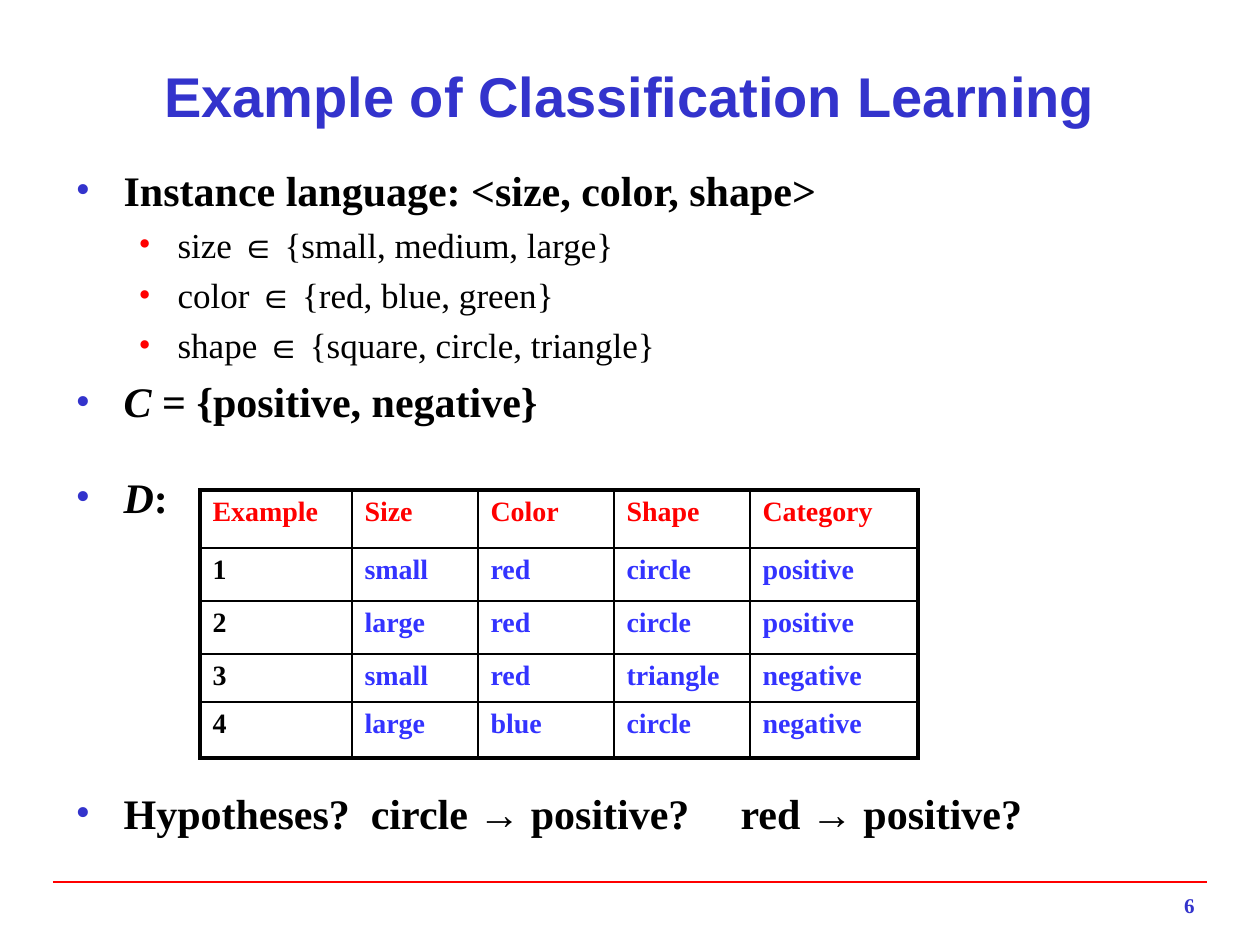
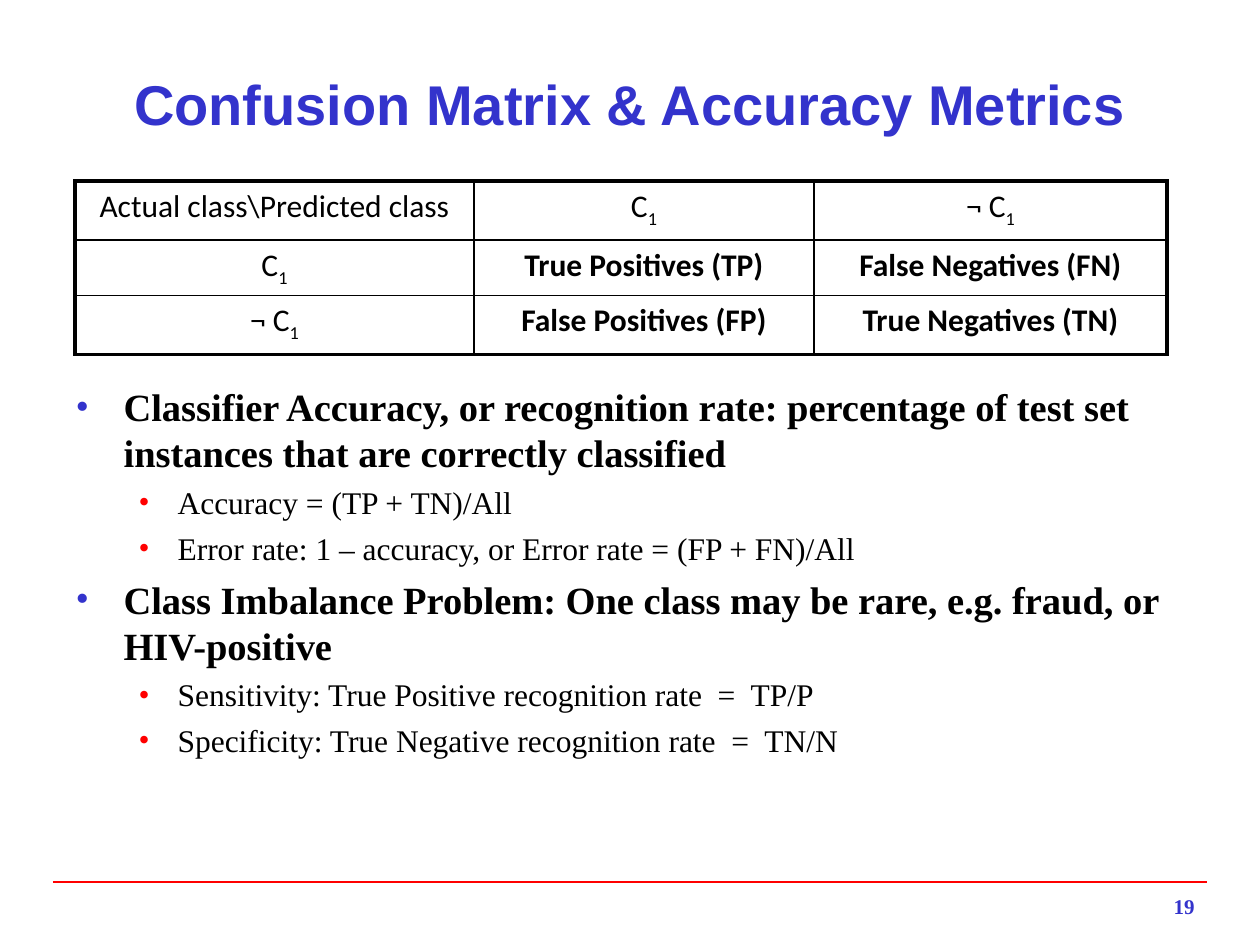
import pptx
import pptx.dml.color
import pptx.enum.shapes
import pptx.enum.text
import pptx.oxml
import pptx.oxml.ns
import pptx.util
from lxml import etree

PX = 914400 / 126
COLORS = {
    "title": "3333CC",
    "accent": "FF0000",
    "text": "000000",
    "value": "3333FF",
    "background": "FFFFFF",
}
SERIF, SANS, TABLE_SANS = "Times New Roman", "Arial", "Calibri"
ALIGN = pptx.enum.text.PP_ALIGN
LEVELS = [
    {"margin": 48, "hanging": 48, "bullet": "title", "bold": True},
    {"margin": 102, "hanging": 39, "bullet": "accent", "bold": False},
]
FIRST_GAP = 2
GAP_RATIO = 0.24


def px(length):
    return pptx.util.Emu(round(length * PX))


def rgb(name):
    return pptx.dml.color.RGBColor.from_string(COLORS[name])


def add_element(parent, tag, **attributes):
    element = etree.SubElement(parent, pptx.oxml.ns.qn(tag))
    for name, value in attributes.items():
        element.set(name, str(value))
    return element


def place(shape, box):
    shape.left, shape.top, shape.width, shape.height = map(px, box)


def write_text(paragraph, text, size=16, font=SERIF, color="text", bold=False,
               italic=False, subscript=False, align=None):
    run = paragraph.add_run()
    run.text = text
    run.font.size = pptx.util.Pt(size)
    run.font.name = font
    run.font.color.rgb = rgb(color)
    run.font.bold = bold
    run.font.italic = italic
    if subscript:
        run._r.get_or_add_rPr().set("baseline", "-25000")
    if align is not None:
        paragraph.alignment = align


def write_runs(paragraph, runs, **text_format):
    if isinstance(runs, str):
        runs = [(runs, {})]
    for text, changes in runs:
        write_text(paragraph, text, **{**text_format, **changes})


def format_bullet(paragraph, level, tab=None):
    properties = paragraph._p.get_or_add_pPr()
    properties.set("marL", str(px(level["margin"])))
    properties.set("indent", str(-px(level["hanging"])))
    bullet_color = add_element(properties, "a:buClr")
    add_element(bullet_color, "a:srgbClr", val=COLORS[level["bullet"]])
    add_element(properties, "a:buFont", typeface=SERIF)
    add_element(properties, "a:buChar", char="•")
    if tab:
        tabs = add_element(properties, "a:tabLst")
        add_element(tabs, "a:tab", pos=px(tab), algn="l")


def add_title(slide, box, text):
    title = slide.shapes.title
    place(title, box)
    frame = title.text_frame
    frame.auto_size = pptx.enum.text.MSO_AUTO_SIZE.NONE
    frame.vertical_anchor = pptx.enum.text.MSO_ANCHOR.MIDDLE
    write_text(frame.paragraphs[0], text, size=32, font=SANS, color="title",
               bold=True, align=ALIGN.CENTER)


def add_bullets(slide, box, items, sizes):
    body = slide.placeholders[1]
    place(body, box)
    frame = body.text_frame
    frame.auto_size = pptx.enum.text.MSO_AUTO_SIZE.NONE
    frame.vertical_anchor = pptx.enum.text.MSO_ANCHOR.TOP
    for index, (depth, runs, options) in enumerate(items):
        paragraph = frame.add_paragraph() if index else frame.paragraphs[0]
        paragraph.level = depth
        gap = sizes[depth] * GAP_RATIO if index else FIRST_GAP
        paragraph.space_before = pptx.util.Pt(options.get("before", gap))
        format_bullet(paragraph, LEVELS[depth], options.get("tab"))
        write_runs(paragraph, runs, size=sizes[depth], bold=LEVELS[depth]["bold"])


def add_footer(slide, box, number):
    left, top, width, height = box
    rule = slide.shapes.add_connector(
        pptx.enum.shapes.MSO_CONNECTOR.STRAIGHT,
        px(left), px(882), px(left + width), px(882))
    rule.line.color.rgb = rgb("accent")
    rule.line.width = pptx.util.Pt(1)
    add_element(rule._element.spPr, "a:effectLst")
    number_width = 262
    number_box = slide.shapes.add_textbox(
        px(left + width - number_width), px(top), px(number_width), px(height))
    number_box.text_frame.word_wrap = True
    write_text(number_box.text_frame.paragraphs[0], number, size=12,
               color="title", bold=True, align=ALIGN.RIGHT)


def set_borders(cell, outer_sides):
    properties = cell._tc.get_or_add_tcPr()
    for side in "LRTB":
        width = pptx.util.Pt(2.25 if side in outer_sides else 1)
        line = add_element(properties, f"a:ln{side}", w=width)
        fill = add_element(line, "a:solidFill")
        add_element(fill, "a:srgbClr", val=COLORS["text"])


def add_grid(slide, origin, column_widths, row_heights, rows, cell_format):
    left, top = map(px, origin)
    table = slide.shapes.add_table(
        len(rows), len(column_widths), left, top,
        px(sum(column_widths)), px(sum(row_heights))).table
    table.first_row = table.horz_banding = False
    for column, width in zip(table.columns, column_widths):
        column.width = px(width)
    last_row, last_column = len(rows) - 1, len(column_widths) - 1
    for row_index, row in enumerate(rows):
        table.rows[row_index].height = px(row_heights[row_index])
        for column_index, runs in enumerate(row):
            cell = table.cell(row_index, column_index)
            edges = {"L": column_index == 0, "R": column_index == last_column,
                     "T": row_index == 0, "B": row_index == last_row}
            set_borders(cell, [side for side, outer in edges.items() if outer])
            cell.fill.background()
            write_runs(cell.text_frame.paragraphs[0], runs,
                       **cell_format(row_index, column_index))


def example_format(row, column):
    color = "accent" if row == 0 else "text" if column == 0 else "value"
    return {"size": 16, "color": color, "bold": True}


def confusion_format(row, column):
    return {"size": 18, "font": TABLE_SANS, "bold": row > 0 and column > 0,
            "align": ALIGN.CENTER}


def add_slide(presentation):
    slide = presentation.slides.add_slide(presentation.slide_layouts[1])
    slide.background.fill.solid()
    slide.background.fill.fore_color.rgb = rgb("background")
    return slide


def build_example_slide(presentation):
    slide = add_slide(presentation)
    add_title(slide, (63, 53, 1134, 84), "Example of Classification Learning")
    italic = {"italic": True}
    add_bullets(slide, (63, 158, 1134, 709), [
        (0, "Instance language: <size, color, shape>", {}),
        (1, "size ∈ {small, medium, large}", {}),
        (1, "color ∈ {red, blue, green}", {}),
        (1, "shape ∈ {square, circle, triangle}", {}),
        (0, [("C ", italic), ("= {positive, negative}", {})], {}),
        (0, [("D", italic), (":", {})], {"before": 25.5}),
        (0, "Hypotheses?  circle → positive?\tred → positive?",
         {"before": 152, "tab": 665}),
    ], sizes=(24, 20))
    add_grid(slide, (200, 490), (152, 126, 136, 136, 168), (58, 53, 53, 48, 56), [
        ("Example", "Size", "Color", "Shape", "Category"),
        ("1", "small", "red", "circle", "positive"),
        ("2", "large", "red", "circle", "positive"),
        ("3", "small", "red", "triangle", "negative"),
        ("4", "large", "blue", "circle", "negative"),
    ], example_format)
    add_footer(slide, (53, 886, 1154, 32), "6")


def build_confusion_slide(presentation):
    slide = add_slide(presentation)
    add_title(slide, (63, 61, 1134, 84), "Confusion Matrix & Accuracy Metrics")
    add_bullets(slide, (63, 377, 1134, 464), [
        (0, "Classifier Accuracy, or recognition rate: percentage of test set "
            "instances that are correctly classified", {}),
        (1, "Accuracy = (TP + TN)/All", {}),
        (1, "Error rate: 1 – accuracy, or Error rate = (FP + FN)/All", {}),
        (0, "Class Imbalance Problem: One class may be rare, e.g. fraud, or "
            "HIV-positive", {}),
        (1, "Sensitivity: True Positive recognition rate  =  TP/P", {}),
        (1, "Specificity: True Negative recognition rate  =  TN/N", {}),
    ], sizes=(22, 18))
    index = ("1", {"subscript": True})
    positive_class = [("C", {}), index]
    negative_class = [("¬ C", {}), index]
    add_grid(slide, (75, 181), (399, 340, 353), (59, 55, 59), [
        ("Actual class\\Predicted class", positive_class, negative_class),
        (positive_class, "True Positives (TP)", "False Negatives (FN)"),
        (negative_class, "False Positives (FP)", "True Negatives (TN)"),
    ], confusion_format)
    add_footer(slide, (53, 887, 1154, 42), "19")


def main():
    presentation = pptx.Presentation()
    presentation.slide_width = px(1260)
    presentation.slide_height = px(945)
    build_example_slide(presentation)
    build_confusion_slide(presentation)
    presentation.save("out.pptx")


if __name__ == "__main__":
    main()
